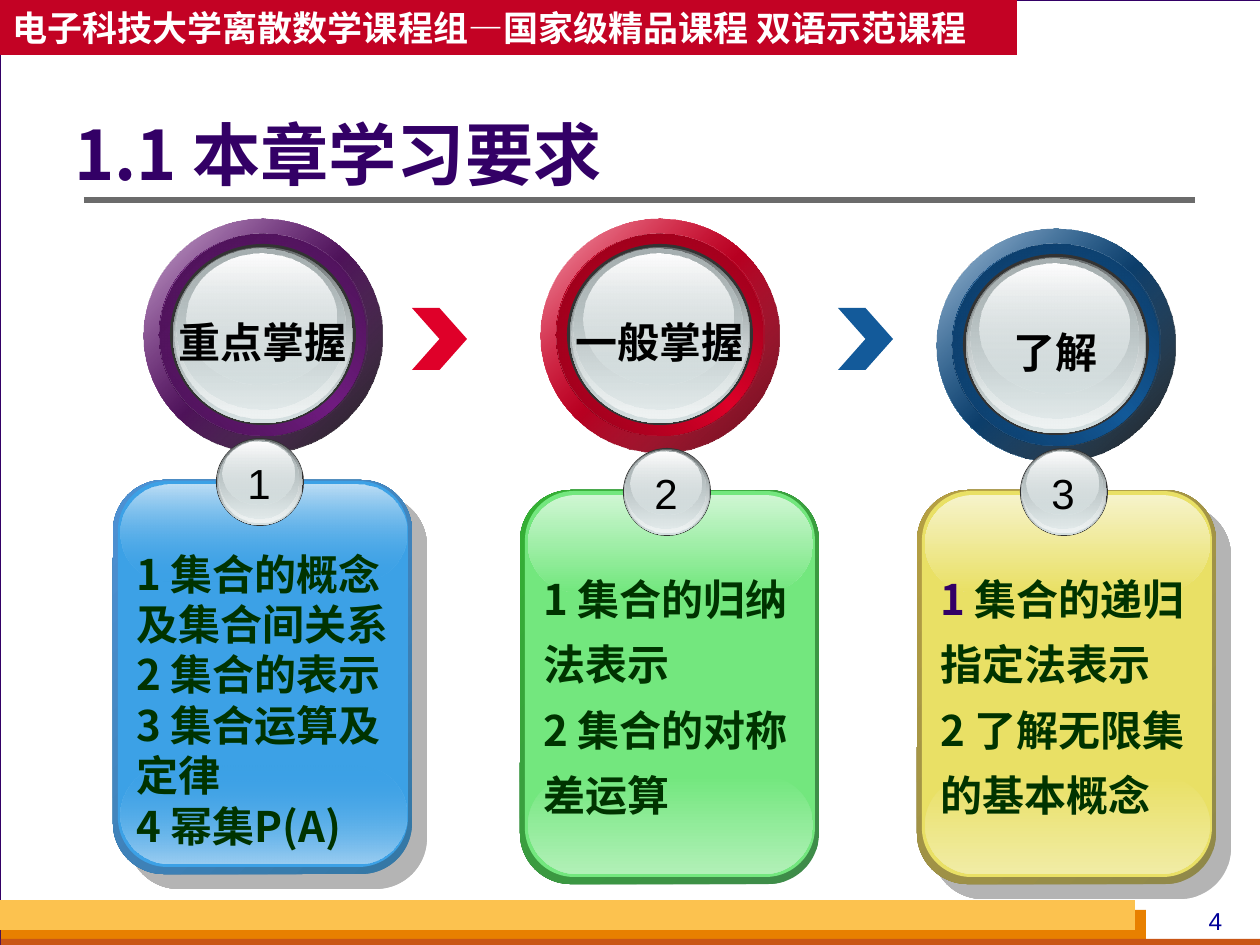
from lxml import etree
from pptx import Presentation
from pptx import util as u
from pptx.dml.color import RGBColor
from pptx.enum import shapes as s, text as t
from pptx.oxml import parse_xml
from pptx.oxml.ns import nsdecls, qn

SCALE = 914400 / 126
CJK = "Noto Sans CJK SC"
OVAL = s.MSO_SHAPE.OVAL
RECTANGLE = s.MSO_SHAPE.RECTANGLE
ROUNDED = s.MSO_SHAPE.ROUNDED_RECTANGLE

GLASS = [
    "333333",
    (90, ("626768", 100), ("D6E1E2", 100)),
    (90, ("D6E1E2", 0), ("EFF3F3", 100)),
    (90, ("A8B1B2", 100), ("D6E1E2", 48)),
    (90, ("FEFEFE", 100), ("D6E1E2", 38)),
]
RING_BOXES = [(0, 0, 238, 233), (0, 0, 238, 233), (15, 15, 207, 202), (16, 15, 207, 202)]
LENS_BOXES = [(26, 25, 186, 181), (29, 28, 180, 176), (31, 29, 176, 171),
              (33, 30, 168, 160), (43, 35, 149, 130)]
BALL_BOXES = [(0, 0, 88, 88), (1, 1, 86, 86), (2, 2, 83, 83), (3, 3, 79, 78), (7, 4, 71, 63)]

RINGS = [
    (144, 219, "重点掌握", "711C81", ("000000", 90), "3C0F45", "471151"),
    (541, 219, "一般掌握", "DF0029", ("660012", 100), "780016", "8D0019"),
    (937, 229, "了解", "135A9A", ("000000", 90), "0A3053", "0C3861"),
]
CARDS = [
    (113, 480, "1", ("3477A4", "4E91D4"), "3CA1E6", "9ACDF1", "BDDEF5", 0, True, 1.0,
     ["1 集合的概念及集合间关系", "2 集合的表示", "3 集合运算及定律", "4 幂集P(A)"]),
    (520, 490, "2", ("3F8B4A", "34B034"), "73E77E", "B1F0B7", "CFF6D3", 100, False, 1.3,
     ["1 集合的归纳法表示", "2 集合的对称差运算"]),
    (917, 490, "3", ("8F8849", "B59F43"), "E9E065", "F1ECA5", "F6F3CA", 100, True, 1.3,
     [[("1 ", "330066"), ("集合的递归指定法表示", "003300")], "2 了解无限集的基本概念"]),
]


def px(*lengths):
    return [u.Emu(round(length * SCALE)) for length in lengths]


def rgb(value):
    return RGBColor.from_string(value)


def add_gradient(shape, angle, *stops):
    step = 100000 // (len(stops) - 1)
    stops_xml = "".join(
        f'<a:gs pos="{index * step}"><a:srgbClr val="{color}">'
        f'<a:alpha val="{opacity * 1000}"/></a:srgbClr></a:gs>'
        for index, (color, opacity) in enumerate(stops))
    gradient = parse_xml(
        f'<a:gradFill {nsdecls("a")} rotWithShape="1"><a:gsLst>{stops_xml}</a:gsLst>'
        f'<a:lin ang="{angle * 60000}" scaled="0"/></a:gradFill>')
    shape.element.spPr.find(qn("a:prstGeom")).addnext(gradient)


def add_drop_shadow(shape):
    shape.element.spPr.find(qn("a:effectLst")).append(parse_xml(
        f'<a:outerShdw {nsdecls("a")} blurRad="0" dist="{u.Pt(12.1)}" dir="2700000" '
        'algn="ctr" rotWithShape="0"><a:srgbClr val="6B6B6B"><a:alpha val="50000"/>'
        '</a:srgbClr></a:outerShdw>'))


def add_shape(shapes, kind, box, fill, adjustment=None):
    shape = shapes.add_shape(kind, *px(*box))
    if adjustment is not None:
        shape.adjustments[0] = adjustment
    if isinstance(fill, str):
        shape.fill.solid()
        shape.fill.fore_color.rgb = rgb(fill)
    else:
        add_gradient(shape, *fill)
    shape.line.fill.background()
    shape.shadow.inherit = False
    return shape


def add_ovals(shapes, x, y, boxes, fills):
    for (dx, dy, width, height), fill in zip(boxes, fills):
        add_shape(shapes, OVAL, (x + dx, y + dy, width, height), fill)


def write(shape, lines, size, color, font, bold=True, align=t.PP_ALIGN.LEFT, spacing=1.0):
    frame = shape.text_frame
    for index, line in enumerate(lines):
        paragraph = frame.add_paragraph() if index else frame.paragraphs[0]
        paragraph.alignment = align
        paragraph.line_spacing = spacing
        paragraph.font.size = u.Pt(size)
        paragraph.font.bold = bold
        paragraph.font.name = font
        paragraph.font.color.rgb = rgb(color)
        if font == CJK:
            latin = paragraph.font._element.find(qn("a:latin"))
            east_asian = etree.Element(qn("a:ea"), typeface=font)
            latin.addnext(east_asian)
        if isinstance(line, str):
            paragraph.add_run().text = line
            continue
        for words, run_color in line:
            run = paragraph.add_run()
            run.text = words
            run.font.color.rgb = rgb(run_color)


def add_text(shapes, box, lines, size, color, font, wrap=True, **style):
    shape = shapes.add_textbox(*px(*box))
    shape.text_frame.word_wrap = wrap
    write(shape, lines, size, color, font, **style)


def add_ring(slide, x, y, label, color, shade, edge, inner):
    shapes = slide.shapes.add_group_shape().shapes
    fills = [
        (225, ("FEFEFE", 100), (color, 100), ("FEFEFE", 100)),
        (225, shade, (color, 32)),
        (135, (edge, 100), (color, 100), (edge, 100)),
        (225, (color, 0), (inner, 100)),
    ]
    add_ovals(shapes, x, y, RING_BOXES + LENS_BOXES, fills + GLASS)
    width = 42 * len(label) + 25
    add_text(shapes, (x + (238 - width) // 2, y + 91, width, 63), [label],
             24, "000000", "Arial", wrap=False)


def add_card(slide, x, y, number, rim, face, low, high, fade, shadow, spacing, lines):
    shapes = slide.shapes.add_group_shape().shapes
    back = add_shape(shapes, ROUNDED, (x, y, 299, 394),
                     (225, (rim[0], 100), (rim[1], 100)), 0.17)
    if shadow:
        add_drop_shadow(back)
    add_shape(shapes, ROUNDED, (x + 5, y + 1, 290, 386), face, 0.17)
    add_shape(shapes, ROUNDED, (x + 8, y + 286, 285, 98), (90, (face, fade), (low, 100)), 0.5)
    add_shape(shapes, ROUNDED, (x + 8, y + 5, 285, 97), (90, (high, 100), (face, fade)), 0.5)
    add_ovals(shapes, x + 103, y - 42, BALL_BOXES, GLASS)
    add_text(shapes, (x + 122, y - 29, 48, 63), [number], 24, "000000", "Arial",
             wrap=False, bold=False, align=t.PP_ALIGN.CENTER)
    add_text(shapes, (x + 11, y + 62, 284, 315), lines, 24, "003300", CJK, spacing=spacing)


def add_frame(slide):
    shapes = slide.shapes
    border = add_shape(shapes, RECTANGLE, (0, 0, 1261, 945), "FFFFFF")
    border.line.color.rgb = rgb("330066")
    border.line.width = u.Pt(0.75)
    for box, color in [((1, 910, 1145, 35), "E88000"),
                       ((1, 939, 1260, 10), "C95616"),
                       ((0, 900, 1135, 30), "FCC24F")]:
        add_shape(shapes, RECTANGLE, box, color)
    add_text(shapes, (1176, 900, 79, 43), ["4"], 14, "000099", "Arial",
             bold=False, align=t.PP_ALIGN.CENTER)
    rule = shapes.add_connector(s.MSO_CONNECTOR.STRAIGHT, *px(84, 200, 1195, 200))
    rule.line.color.rgb = rgb("6B6B6B")
    rule.line.width = u.Pt(3)
    etree.SubElement(rule.element.spPr, qn("a:effectLst"))
    banner = add_shape(shapes, RECTANGLE, (0, 0, 1017, 55), "C30224")
    banner.text_frame.vertical_anchor = t.MSO_ANCHOR.MIDDLE
    write(banner, ["电子科技大学离散数学课程组—国家级精品课程 双语示范课程"], 20, "FFFFFF", CJK)


def add_title(slide, words):
    title = slide.shapes.title
    slide.shapes.element.append(title.element)
    title.left, title.top, title.width, title.height = px(74, 115, 980, 87)
    title.text_frame.margin_left = 0
    title.text_frame.vertical_anchor = t.MSO_ANCHOR.MIDDLE
    write(title, [words], 39, "330066", CJK, spacing=0.9)


def main():
    presentation = Presentation()
    presentation.slide_width, presentation.slide_height = px(1260, 945)
    slide = presentation.slides.add_slide(presentation.slide_layouts[5])
    slide.background.fill.solid()
    slide.background.fill.fore_color.rgb = rgb("D8DADA")
    add_frame(slide)
    add_title(slide, "1.1 本章学习要求")
    for x, color in [(412, "DF0029"), (838, "135A9A")]:
        add_shape(slide.shapes, s.MSO_SHAPE.CHEVRON, (x, 308, 55, 62), color, 0.5)
    for ring in RINGS:
        add_ring(slide, *ring)
    for card in CARDS:
        add_card(slide, *card)
    presentation.save("out.pptx")


if __name__ == "__main__":
    main()
